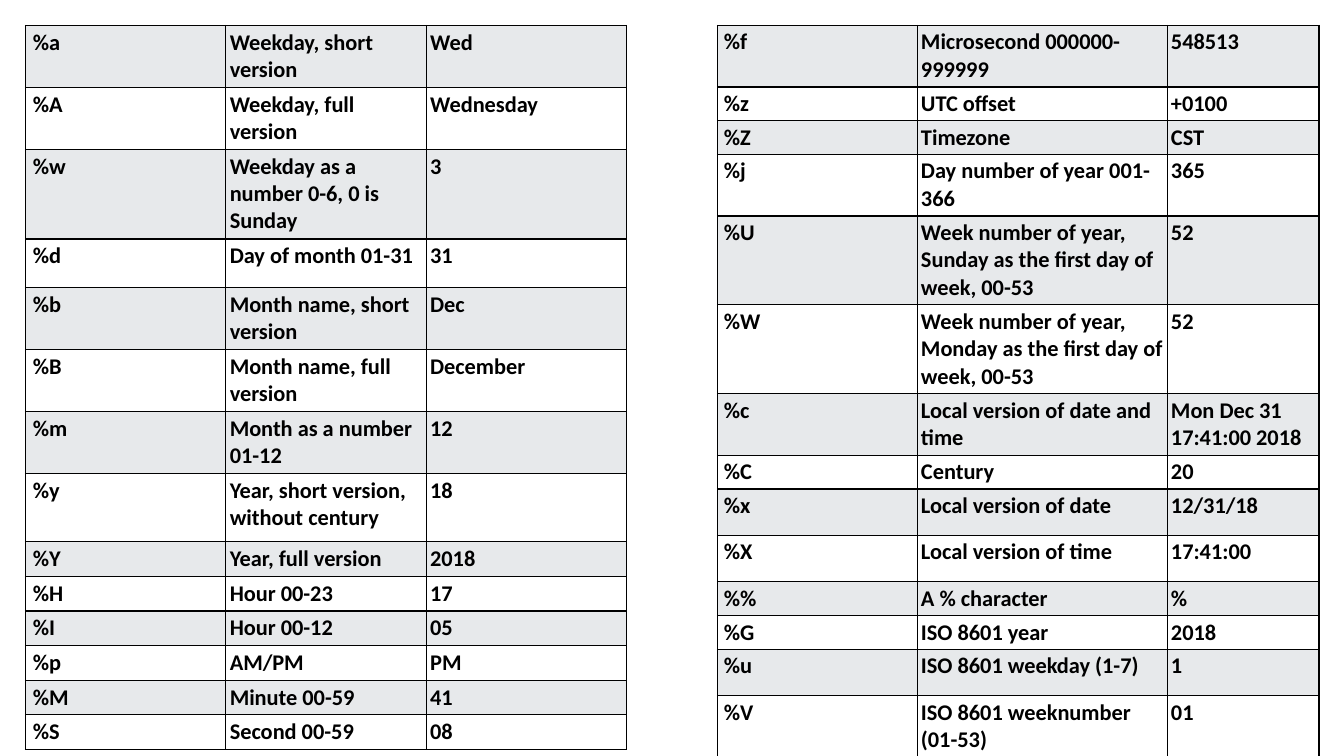
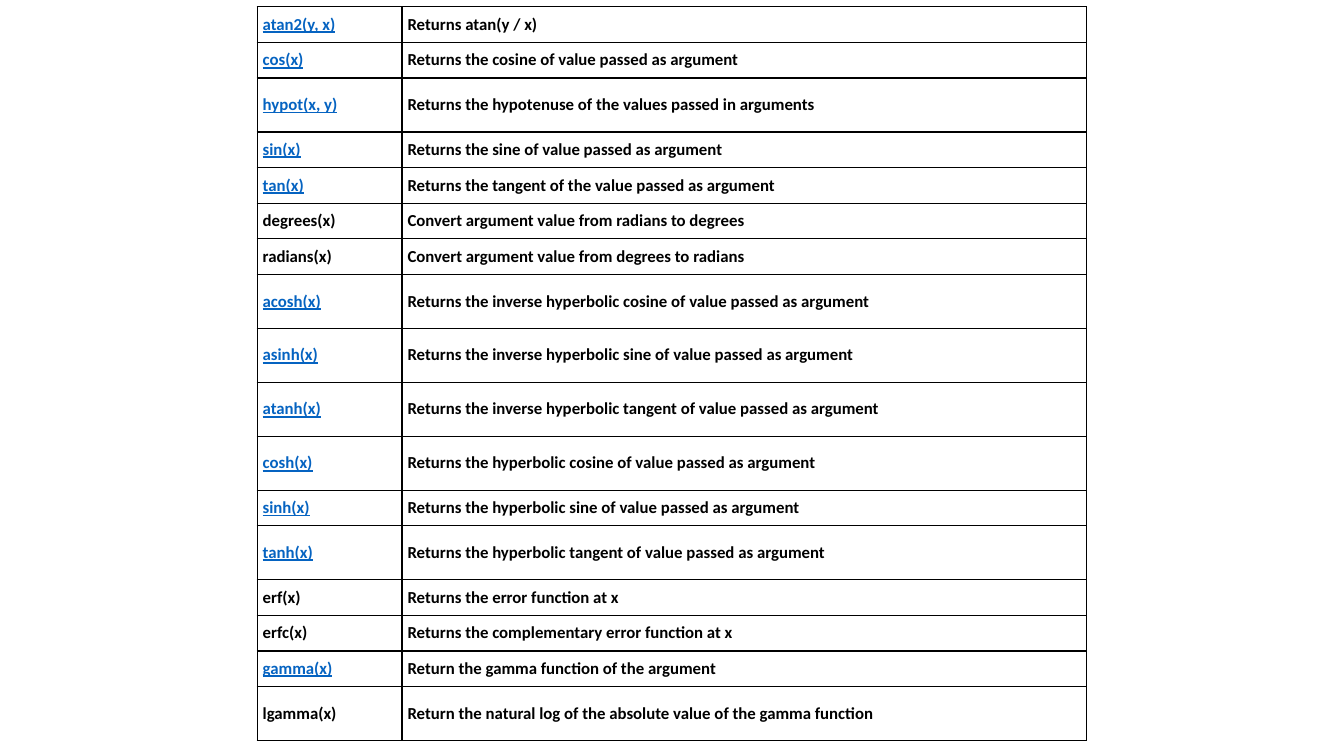
from dataclasses import dataclass
from lxml.etree import SubElement
from pptx import Presentation
from pptx.dml.color import RGBColor
from pptx.enum.text import MSO_ANCHOR
from pptx.oxml.ns import qn
from pptx.util import Cm, Pt


@dataclass(frozen=True)
class Theme:
    font: str = "Calibri"
    ink: str = "000000"
    link: str = "0563C1"
    stripe: str = "E7E9EB"
    paper: str = "FFFFFF"
    code_size: int = 16
    function_size: int = 12
    border: int = 1


@dataclass(frozen=True)
class Grid:
    left: float
    top: float
    columns: tuple
    heights: tuple
    margins: tuple
    first_indent: float
    size: int
    anchor: MSO_ANCHOR = MSO_ANCHOR.TOP
    striped: bool = True


THEME = Theme()

DATE_CODES = [
    ("%a", "Weekday, short version", "Wed"),
    ("%A", "Weekday, full version", "Wednesday"),
    ("%w", "Weekday as a number 0-6, 0 is Sunday", "3"),
    ("%d", "Day of month 01-31", "31"),
    ("%b", "Month name, short version", "Dec"),
    ("%B", "Month name, full version", "December"),
    ("%m", "Month as a number 01-12", "12"),
    ("%y", "Year, short version, without century", "18"),
    ("%Y", "Year, full version", "2018"),
    ("%H", "Hour 00-23", "17"),
    ("%I", "Hour 00-12", "05"),
    ("%p", "AM/PM", "PM"),
    ("%M", "Minute 00-59", "41"),
    ("%S", "Second 00-59", "08"),
]

MORE_CODES = [
    ("%f", "Microsecond 000000-999999", "548513"),
    ("%z", "UTC offset", "+0100"),
    ("%Z", "Timezone", "CST"),
    ("%j", "Day number of year 001-366", "365"),
    ("%U", "Week number of year, Sunday as the first day of week, 00-53", "52"),
    ("%W", "Week number of year, Monday as the first day of week, 00-53", "52"),
    ("%c", "Local version of date and time", "Mon Dec 31 17:41:00 2018"),
    ("%C", "Century", "20"),
    ("%x", "Local version of date", "12/31/18"),
    ("%X", "Local version of time", "17:41:00"),
    ("%%", "A % character", "%"),
    ("%G", "ISO 8601 year", "2018"),
    ("%u", "ISO 8601 weekday (1-7)", "1"),
    ("%V", "ISO 8601 weeknumber (01-53)", "01"),
]

FUNCTIONS = [
    ("atan2(y, x)", "Returns atan(y / x)"),
    ("cos(x)", "Returns the cosine of value passed as argument"),
    ("hypot(x, y)", "Returns the hypotenuse of the values passed in arguments"),
    ("sin(x)", "Returns the sine of value passed as argument"),
    ("tan(x)", "Returns the tangent of the value passed as argument"),
    ("degrees(x)", "Convert argument value from radians to degrees"),
    ("radians(x)", "Convert argument value from degrees to radians"),
    ("acosh(x)", "Returns the inverse hyperbolic cosine of value passed as argument"),
    ("asinh(x)", "Returns the inverse hyperbolic sine of value passed as argument"),
    ("atanh(x)", "Returns the inverse hyperbolic tangent of value passed as argument"),
    ("cosh(x)", "Returns the hyperbolic cosine of value passed as argument"),
    ("sinh(x)", "Returns the hyperbolic sine of value passed as argument"),
    ("tanh(x)", "Returns the hyperbolic tangent of value passed as argument"),
    ("erf(x)", "Returns the error function at x"),
    ("erfc(x)", "Returns the complementary error function at x"),
    ("gamma(x)", "Return the gamma function of the argument"),
    ("lgamma(x)", "Return the natural log of the absolute value of the gamma function"),
]

LINKED = {"atan2(y, x)", "cos(x)", "hypot(x, y)", "sin(x)", "tan(x)", "acosh(x)",
          "asinh(x)", "atanh(x)", "cosh(x)", "sinh(x)", "tanh(x)", "gamma(x)"}

TALL_FUNCTIONS = {"hypot(x, y)", "acosh(x)", "asinh(x)", "atanh(x)", "cosh(x)",
                  "tanh(x)", "lgamma(x)"}

DATE_GRID = Grid(
    left=0.64, top=0.64, columns=(5.05, 5.05, 5.05),
    heights=(1.56, 1.56, 2.26, 1.22, 1.56, 1.56, 1.56, 1.73) + (0.87,) * 6,
    margins=(0.1, 0.09, 0.1, 0.09), first_indent=0.19, size=THEME.code_size)

MORE_GRID = Grid(
    left=18.08, top=0.64, columns=(5.05, 6.3, 3.81),
    heights=(1.55, 0.85, 0.85, 1.55, 2.24, 2.24, 1.55,
             0.85, 1.17, 1.17, 0.85, 0.85, 1.17, 1.65),
    margins=(0.08, 0.08, 0.08, 0.08), first_indent=0.16, size=THEME.code_size)

FUNCTION_GRID = Grid(
    left=6.48, top=0.17, columns=(3.65, 17.25),
    heights=tuple(1.36 if name in TALL_FUNCTIONS else 0.89 for name, _ in FUNCTIONS),
    margins=(0.14, 0.19, 0.14, 0.19), first_indent=0.14, size=THEME.function_size,
    anchor=MSO_ANCHOR.MIDDLE, striped=False)

PAGES = [
    [(DATE_GRID, DATE_CODES), (MORE_GRID, MORE_CODES)],
    [(FUNCTION_GRID, FUNCTIONS)],
]


def add_borders(cell):
    properties = cell._tc.get_or_add_tcPr()
    for side in ("a:lnL", "a:lnR", "a:lnT", "a:lnB"):
        line = SubElement(properties, qn(side), w=str(Pt(THEME.border)))
        fill = SubElement(line, qn("a:solidFill"))
        SubElement(fill, qn("a:srgbClr"), val=THEME.ink)


def fill_cell(cell, text, grid, row, column):
    left, top, right, bottom = grid.margins
    cell.margin_left = Cm(left if column else grid.first_indent)
    cell.margin_top, cell.margin_right, cell.margin_bottom = Cm(top), Cm(right), Cm(bottom)
    cell.vertical_anchor = grid.anchor
    add_borders(cell)
    if grid.striped:
        cell.fill.solid()
        color = THEME.paper if row % 2 else THEME.stripe
        cell.fill.fore_color.rgb = RGBColor.from_string(color)
    else:
        cell.fill.background()
    span = cell.text_frame.paragraphs[0].add_run()
    span.text = text
    linked = text in LINKED
    span.font.name, span.font.size = THEME.font, Pt(grid.size)
    span.font.bold, span.font.underline = True, linked
    span.font.color.rgb = RGBColor.from_string(THEME.link if linked else THEME.ink)


def add_grid(page, grid, records):
    frame = page.shapes.add_table(
        len(records), len(grid.columns), Cm(grid.left), Cm(grid.top),
        Cm(sum(grid.columns)), Cm(sum(grid.heights)))
    table = frame.table
    table.first_row = table.horz_banding = False
    for column, width in zip(table.columns, grid.columns):
        column.width = Cm(width)
    for row, height in zip(table.rows, grid.heights):
        row.height = Cm(height)
    for row, record in enumerate(records):
        for column, text in enumerate(record):
            fill_cell(table.cell(row, column), text, grid, row, column)


deck = Presentation()
deck.slide_width, deck.slide_height = Cm(33.87), Cm(19.05)
for grids in PAGES:
    page = deck.slides.add_slide(deck.slide_layouts[6])
    for grid, records in grids:
        add_grid(page, grid, records)
deck.save("out.pptx")
